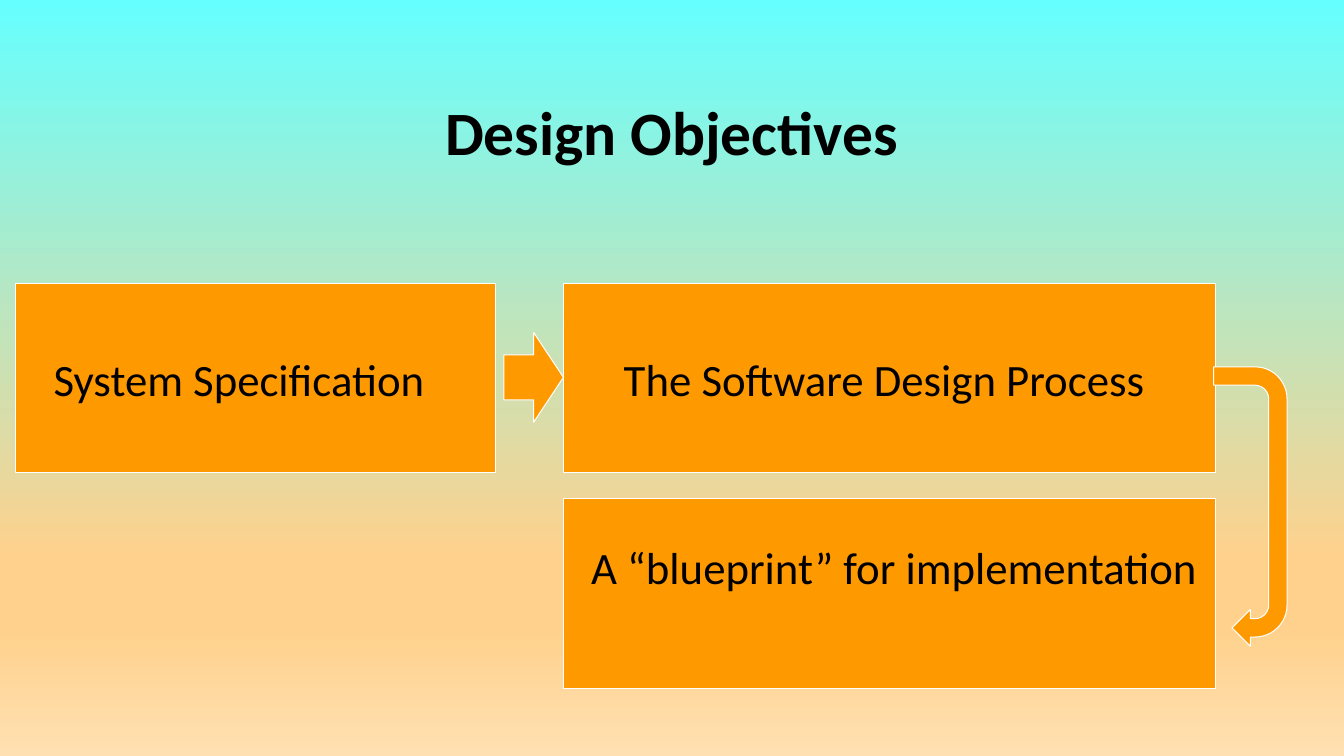
from lxml import etree
from pptx import Presentation
from pptx.dml.color import RGBColor
from pptx.enum import shapes, text
from pptx.oxml import ns
from pptx.util import Cm, Pt

COLOURS = {
    "sky": "66FFFF",
    "sand": "FFD18C",
    "pale sand": "FFE0B2",
    "orange": "FF9900",
    "outline": "FFFFFF",
    "ink": "000000",
}
BACKDROP = [(0, "sky"), (74, "sand"), (83, "sand"), (100, "pale sand")]
FONT = "Calibri"

BOX_HEIGHT = 4.78
TOP_ROW, BOTTOM_ROW = 7.14, 12.57
LEFT_COLUMN, RIGHT_COLUMN = 0.38, 14.2
LEFT_WIDTH, RIGHT_WIDTH = 12.12, 16.43


def colour(name):
    return RGBColor.from_string(COLOURS[name])


def paint_background(page):
    fill = page.background.fill
    fill.gradient()
    fill.gradient_angle = 270  # counter-clockwise, so top to bottom
    stops = page.background._cSld.find(".//" + ns.qn("a:gsLst"))
    for stop in list(stops):
        stops.remove(stop)
    for percent, name in BACKDROP:
        stop = etree.SubElement(stops, ns.qn("a:gs"), pos=str(percent * 1000))
        etree.SubElement(stop, ns.qn("a:srgbClr"), val=COLOURS[name])


def add_text(para, words, size, bold=False):
    span = para.add_run()
    span.text = words
    span.font.name = FONT
    span.font.size = Pt(size)
    span.font.bold = bold
    span.font.color.rgb = colour("ink")


def set_title(page, words):
    title = page.shapes.title
    title.left, title.top = Cm(2.54), Cm(1.7)
    title.width, title.height = Cm(28.78), Cm(3.18)
    title.text_frame.vertical_anchor = text.MSO_ANCHOR.MIDDLE
    para = title.text_frame.paragraphs[0]
    para.alignment = text.PP_ALIGN.CENTER
    add_text(para, words, 44, bold=True)


def add_block(page, kind, left, top, width, height):
    """Add an orange preset shape with a thin white outline."""
    block = page.shapes.add_shape(kind, Cm(left), Cm(top), Cm(width), Cm(height))
    block.shadow.inherit = False
    block.fill.solid()
    block.fill.fore_color.rgb = colour("orange")
    block.line.color.rgb = colour("outline")
    block.line.width = Pt(0.75)
    return block


def add_box(page, words, left, top, width, indent, lift=0):
    """Add a labelled box; lift is the bottom inset that raises its label."""
    box = add_block(page, shapes.MSO_SHAPE.RECTANGLE, left, top, width, BOX_HEIGHT)
    frame = box.text_frame
    frame.word_wrap = True
    frame.vertical_anchor = text.MSO_ANCHOR.MIDDLE
    frame.margin_left, frame.margin_right = Cm(indent), Cm(0)
    frame.margin_top, frame.margin_bottom = Cm(0), Cm(lift)
    para = frame.paragraphs[0]
    para.alignment = text.PP_ALIGN.LEFT
    add_text(para, words, 32)


def main():
    deck = Presentation()
    deck.slide_width, deck.slide_height = Cm(33.87), Cm(19.05)
    page = deck.slides.add_slide(deck.slide_layouts[5])
    paint_background(page)
    set_title(page, "Design Objectives")

    add_box(page, "System Specification", LEFT_COLUMN, TOP_ROW, LEFT_WIDTH, 0.97)
    add_box(page, "The Software Design Process",
            RIGHT_COLUMN, TOP_ROW, RIGHT_WIDTH, 1.52)
    add_box(page, "A “blueprint” for implementation",
            RIGHT_COLUMN, BOTTOM_ROW, RIGHT_WIDTH, 0.7, lift=1.35)

    add_block(page, shapes.MSO_SHAPE.RIGHT_ARROW, 12.7, 8.38, 1.5, 2.26)
    turn = add_block(page, shapes.MSO_SHAPE.U_TURN_ARROW, 27.99, 11.84, 7.04, 1.85)
    turn.rotation = 90

    deck.save("out.pptx")


if __name__ == "__main__":
    main()
